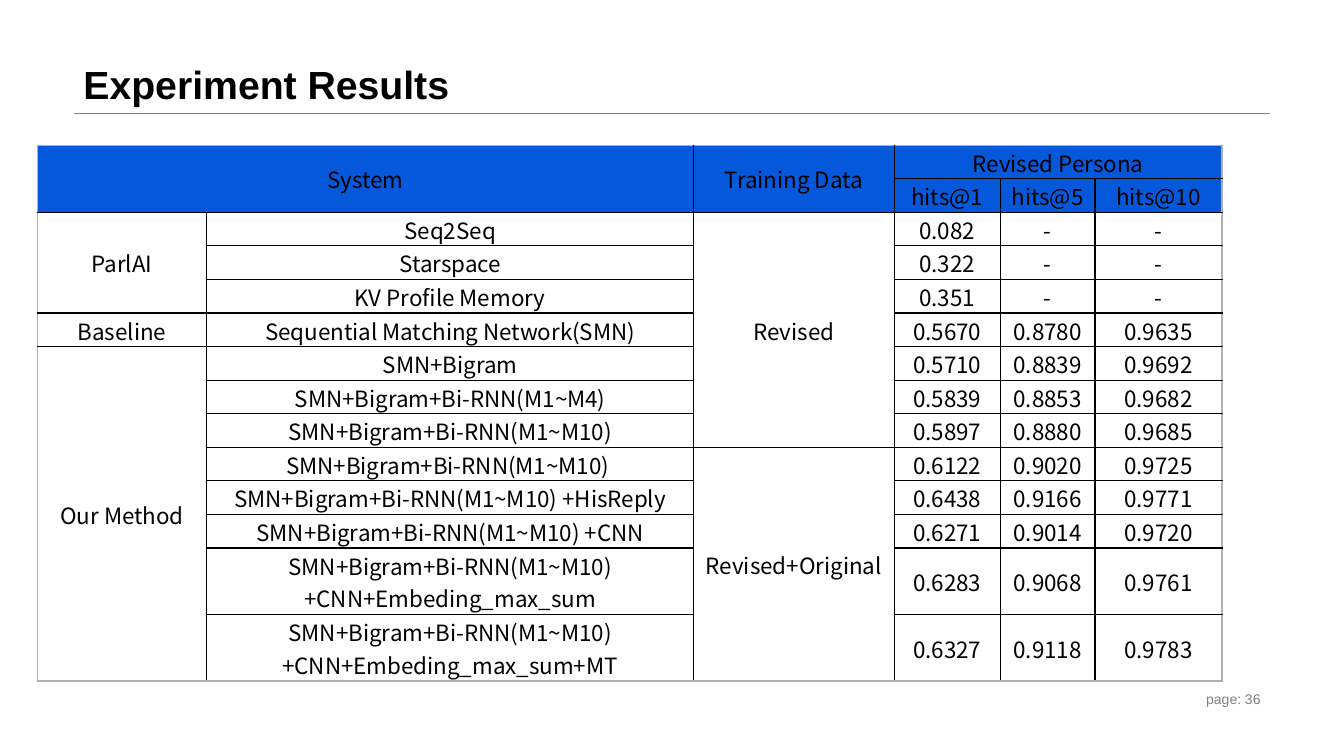
import pptx
import pptx.util
import pptx.dml.color
import pptx.enum.shapes
import pptx.enum.text
import pptx.oxml
import pptx.oxml.ns

Inches, Pt = pptx.util.Inches, pptx.util.Pt
ALIGN, ANCHOR = pptx.enum.text.PP_ALIGN, pptx.enum.text.MSO_ANCHOR

# Content
TITLE = "Experiment Results"
PAGE_LABEL = "page: 36"
HEADER = [
    ("System", "", "Training Data", "Revised Persona", "", ""),
    ("", "", "", "hits@1", "hits@5", "hits@10"),
]
RESULTS = [
    ("ParlAI", "Seq2Seq", "Revised", "0.082", "-", "-"),
    ("", "Starspace", "", "0.322", "-", "-"),
    ("", "KV Profile Memory", "", "0.351", "-", "-"),
    ("Baseline", "Sequential Matching Network(SMN)", "", "0.5670", "0.8780", "0.9635"),
    ("Our Method", "SMN+Bigram", "", "0.5710", "0.8839", "0.9692"),
    ("", "SMN+Bigram+Bi-RNN(M1~M4)", "", "0.5839", "0.8853", "0.9682"),
    ("", "SMN+Bigram+Bi-RNN(M1~M10)", "", "0.5897", "0.8880", "0.9685"),
    ("", "SMN+Bigram+Bi-RNN(M1~M10) ", "Revised+Original", "0.6122", "0.9020", "0.9725"),
    ("", "SMN+Bigram+Bi-RNN(M1~M10) +HisReply", "", "0.6438", "0.9166", "0.9771"),
    ("", "SMN+Bigram+Bi-RNN(M1~M10) +CNN", "", "0.6271", "0.9014", "0.9720"),
    ("", "SMN+Bigram+Bi-RNN(M1~M10) +CNN+Embeding_max_sum", "", "0.6283", "0.9068", "0.9761"),
    ("", "SMN+Bigram+Bi-RNN(M1~M10) +CNN+Embeding_max_sum+MT", "", "0.6327", "0.9118", "0.9783"),
]
# First and last cell (row, column) of each merged block
MERGES = [
    ((0, 0), (1, 1)), ((0, 2), (1, 2)), ((0, 3), (0, 5)),
    ((2, 0), (4, 0)), ((6, 0), (13, 0)),
    ((2, 2), (8, 2)), ((9, 2), (13, 2)),
]
COLUMNS = [1.68, 4.83, 1.99, 1.05, 0.94, 1.26]
ROWS = [4 / 12] * 12 + [0.66] * 2  # twelve one-line rows share 4 inches
COLORS = {"ink": "000000", "gray": "808080", "edge": "B0B0B0", "header": "0658DB"}
MARGIN_LEFT, CONTENT_WIDTH, RULE_TOP = 0.73, 11.87, 1.12


def color(name):
    return pptx.dml.color.RGBColor.from_string(COLORS[name])


def style(para, size, face, ink, align, bold=False):
    para.alignment = align
    font = para.font
    font.size, font.name, font.bold = Pt(size), face, bold
    font.color.rgb = color(ink)


def add_text(page, text, area, anchor, *look):
    box = page.shapes.add_textbox(*map(Inches, area))
    frame = box.text_frame
    frame.word_wrap = True
    frame.vertical_anchor = anchor
    frame.text = text
    style(frame.paragraphs[0], *look)
    return frame.paragraphs[0]


def add_borders(cell, row, column):
    outer = {
        "lnL": column == 0,
        "lnR": column + cell.span_width == len(COLUMNS),
        "lnT": row == 0,
        "lnB": row + cell.span_height == len(ROWS),
    }
    properties = cell._tc.get_or_add_tcPr()
    for index, (side, is_outer) in enumerate(outer.items()):
        ink = COLORS["edge" if is_outer else "ink"]
        properties.insert(index, pptx.oxml.parse_xml(
            f'<a:{side} {pptx.oxml.ns.nsdecls("a")} w="{Pt(1)}"><a:solidFill>'
            f'<a:srgbClr val="{ink}"/></a:solidFill></a:{side}>'))


def add_results(page):
    cells = HEADER + RESULTS
    shape = page.shapes.add_table(
        len(ROWS), len(COLUMNS), Inches(0.37), Inches(1.44),
        Inches(sum(COLUMNS)), Inches(sum(ROWS)))
    table = shape.table
    table.first_row = table.horz_banding = False
    for first, last in MERGES:
        table.cell(*first).merge(table.cell(*last))
    for column, width in zip(table.columns, COLUMNS):
        column.width = Inches(width)
    for row_index, (row, height) in enumerate(zip(table.rows, ROWS)):
        row.height = Inches(height)
        for column_index, text in enumerate(cells[row_index]):
            cell = table.cell(row_index, column_index)
            cell.text = text
            cell.vertical_anchor = ANCHOR.MIDDLE
            cell.margin_left = cell.margin_right = Inches(0.02)
            cell.margin_top, cell.margin_bottom = Inches(0.01), 0
            style(cell.text_frame.paragraphs[0], 16, "Noto Sans CJK SC", "ink", ALIGN.CENTER)
            if row_index < len(HEADER):
                cell.fill.solid()
                cell.fill.fore_color.rgb = color("header")
            else:
                cell.fill.background()
            add_borders(cell, row_index, column_index)


def main():
    deck = pptx.Presentation()
    deck.slide_width, deck.slide_height = Inches(13.33), Inches(7.5)
    page = deck.slides.add_slide(deck.slide_layouts[6])

    # Title and the rule under it
    rule = page.shapes.add_connector(
        pptx.enum.shapes.MSO_CONNECTOR.STRAIGHT, Inches(MARGIN_LEFT), Inches(RULE_TOP),
        Inches(MARGIN_LEFT + CONTENT_WIDTH), Inches(RULE_TOP))
    rule.line.color.rgb = color("gray")
    rule.line.width = Pt(0.25)
    rule._element.spPr.append(pptx.oxml.parse_xml(
        f'<a:effectLst {pptx.oxml.ns.nsdecls("a")}/>'))
    title = add_text(page, TITLE, (MARGIN_LEFT, 0, CONTENT_WIDTH, RULE_TOP),
                     ANCHOR.BOTTOM, 28, "Arial", "ink", ALIGN.LEFT, True)
    title.line_spacing = 0.9

    # Page number
    add_text(page, PAGE_LABEL, (9.42, 6.82, 3.18, 0.23),
             ANCHOR.MIDDLE, 10, "Arial", "gray", ALIGN.RIGHT)

    # Results table
    add_results(page)
    deck.save("out.pptx")


if __name__ == "__main__":
    main()
